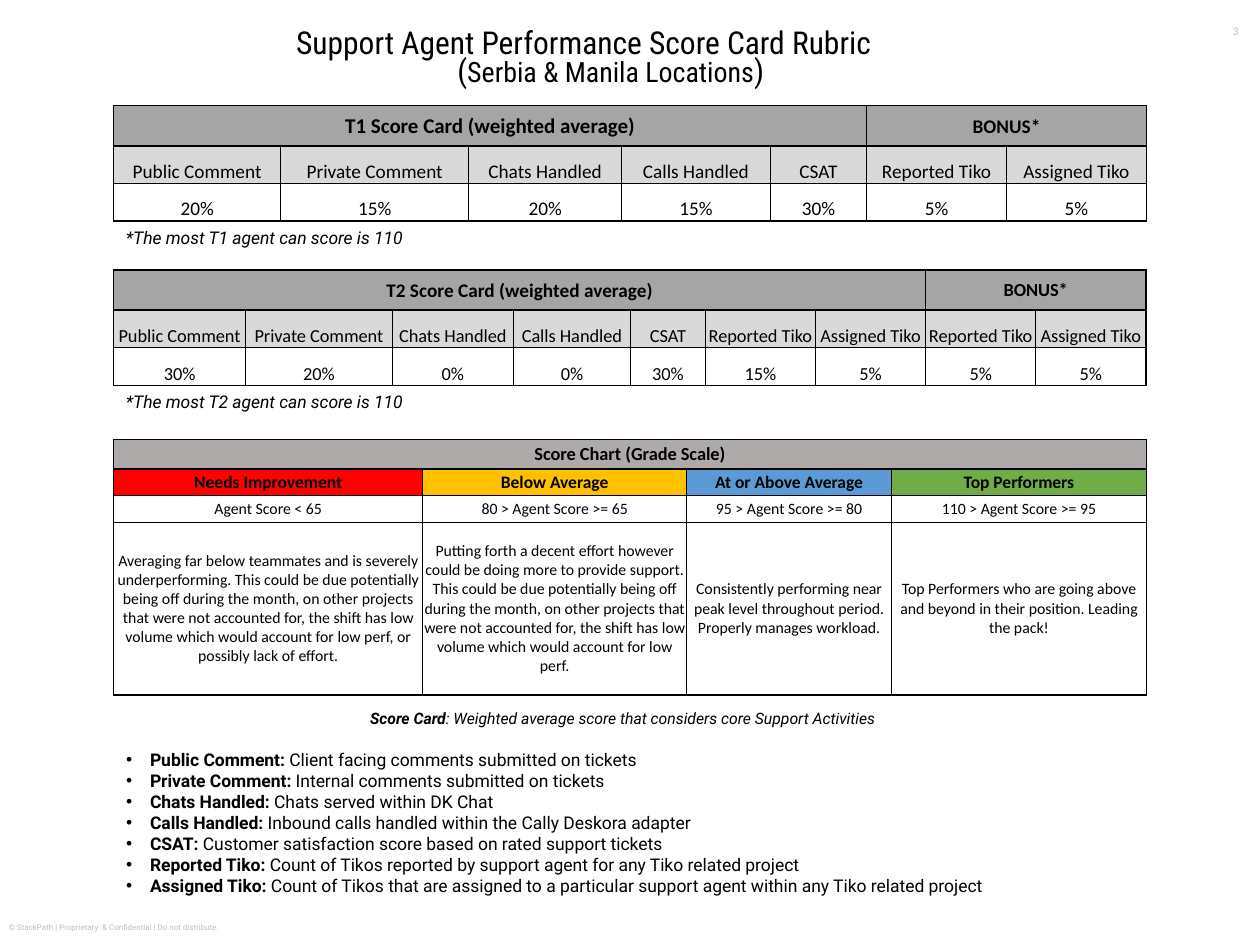
"""Build the support agent score card rubric slide."""
from dataclasses import dataclass

from lxml import etree
from pptx import Presentation
from pptx.dml.color import RGBColor
from pptx.enum.text import MSO_ANCHOR, MSO_AUTO_SIZE, PP_ALIGN
from pptx.oxml.ns import qn
from pptx.util import Cm, Pt

CENTER, LEFT = PP_ALIGN.CENTER, PP_ALIGN.LEFT
TOP, MIDDLE, BOTTOM = MSO_ANCHOR.TOP, MSO_ANCHOR.MIDDLE, MSO_ANCHOR.BOTTOM
NO_AUTOFIT = MSO_AUTO_SIZE.NONE

BLACK = RGBColor(0x00, 0x00, 0x00)
PALE_GRAY = RGBColor(0xBF, 0xBF, 0xBF)
HEADER_GRAY = RGBColor(0xA5, 0xA5, 0xA5)
LABEL_GRAY = RGBColor(0xD9, 0xD9, 0xD9)
CHART_GRAY = RGBColor(0xAE, 0xAA, 0xAA)
RED = RGBColor(0xFF, 0x00, 0x00)
AMBER = RGBColor(0xFF, 0xC0, 0x00)
BLUE = RGBColor(0x5B, 0x9B, 0xD5)
GREEN = RGBColor(0x70, 0xAD, 0x47)

THIN, HEAVY = 0.5, 1
TABLE_LEFT = 2.29

SCORE_LABELS = ["Public Comment", "Private Comment", "Chats Handled", "Calls Handled", "CSAT"]
TICKET_LABELS = ["Reported Tiko", "Assigned Tiko"]

DEFINITIONS = [
    ("Public Comment: ", "Client facing comments submitted on tickets"),
    ("Private Comment: ", "Internal comments submitted on tickets"),
    ("Chats Handled: ", "Chats served within DK Chat"),
    ("Calls Handled: ", "Inbound calls handled within the Cally Deskora adapter"),
    ("CSAT: ", "Customer satisfaction score based on rated support tickets"),
    ("Reported Tiko: ", "Count of Tikos reported by support agent for any Tiko related project"),
    ("Assigned Tiko: ", "Count of Tikos that are assigned to a particular support agent "
                        "within any Tiko related project"),
]

GRADES = [
    ("Needs Improvement", RED, "Agent Score < 65",
     "Averaging far below teammates and is severely underperforming. This could be due "
     "potentially being off during the month, on other projects that were not accounted for, "
     "the shift has low volume which would account for low perf, or possibly lack of effort."),
    ("Below Average", AMBER, "80 > Agent Score >= 65",
     "Putting forth a decent effort however could be doing more to provide support. This could "
     "be due potentially being off during the month, on other projects that were not accounted "
     "for, the shift has low volume which would account for low perf."),
    ("At or Above Average", BLUE, "95 > Agent Score >= 80",
     "Consistently performing near peak level throughout period. Properly manages workload."),
    ("Top Performers", GREEN, "110 > Agent Score >= 95",
     "Top Performers who are going above and beyond in their position. Leading the pack!"),
]


@dataclass
class Entry:
    """Text and look of one table cell."""
    text: str
    size: float
    fill: RGBColor = None
    bold: bool = False
    anchor: MSO_ANCHOR = MIDDLE
    span: int = 1


def style_font(font, name, size, color=BLACK, **flags):
    """Set a font's face, size, colour and bold or italic flags."""
    font.name, font.size = name, Pt(size)
    font.color.rgb = color
    for flag, value in flags.items():
        setattr(font, flag, value)


def set_frame(frame, inset=None, anchor=TOP, wrap=True):
    """Set a text frame's insets, anchor and wrapping."""
    frame.auto_size, frame.word_wrap, frame.vertical_anchor = NO_AUTOFIT, wrap, anchor
    if inset is not None:
        frame.margin_left = frame.margin_right = Cm(inset)
        frame.margin_top = frame.margin_bottom = Cm(inset)


def place(shape, left, top, width, height):
    """Move and size a shape, in centimetres."""
    shape.left, shape.top = Cm(left), Cm(top)
    shape.width, shape.height = Cm(width), Cm(height)


def add_note(slide, bounds, text, size, color=BLACK, align=LEFT, italic=False, **frame_options):
    """Add a one-line text box."""
    box = slide.shapes.add_textbox(*(Cm(value) for value in bounds))
    set_frame(box.text_frame, **frame_options)
    para = box.text_frame.paragraphs[0]
    para.text, para.alignment = text, align
    style_font(para.font, "Roboto", size, color, italic=italic)


def add_title(slide):
    """Fill the title with a main line and an indented second line."""
    title = slide.shapes.title
    place(title, 5.97, 0.64, 13.16, 1.17)
    frame = title.text_frame
    set_frame(frame, inset=0)
    lines = [[("Support Agent Performance Score Card Rubric", 18)],
             [("(", 18), ("Serbia & Manila Locations", 16), (")", 18)]]
    for index, spans in enumerate(lines):
        para = frame.add_paragraph() if index else frame.paragraphs[0]
        para.alignment, para.line_spacing = LEFT, 0.75
        para.space_before = Pt(0)
        if index:
            para._p.get_or_add_pPr().set("marL", str(Cm(3.25)))
        for text, size in spans:
            span = para.add_run()
            span.text = text
            style_font(span.font, "Roboto Condensed", size)


def add_definitions(slide):
    """Fill the body with the score card summary and the bulleted terms."""
    body = slide.placeholders[1]
    place(body, TABLE_LEFT, 14.17, 20.52, 4.09)
    frame = body.text_frame
    set_frame(frame)
    summary = ("Score Card", ": Weighted average score that considers core Support Activities")
    for index, parts in enumerate([summary] + DEFINITIONS):
        para = frame.add_paragraph() if index else frame.paragraphs[0]
        para.alignment = LEFT if index else CENTER
        para.space_before, para.space_after = Pt(0), Pt(0 if index else 12)
        properties = para._p.get_or_add_pPr()
        indent = Cm(0.48) if index else 0
        properties.set("marL", str(indent))
        properties.set("indent", str(-indent))
        if index:
            etree.SubElement(properties, qn("a:buFont"), typeface="Arial")
            etree.SubElement(properties, qn("a:buChar"), char="•")
        else:
            etree.SubElement(properties, qn("a:buNone"))
        style_font(para.font, "Roboto", 10 if index else 9, italic=not index)
        for text, bold in zip(parts, (True, False)):
            span = para.add_run()
            span.text, span.font.bold = text, bold


def set_borders(cell, weights):
    """Draw the left, right, top and bottom borders of a cell in points."""
    properties = cell._tc.get_or_add_tcPr()
    for position, (side, weight) in enumerate(zip("LRTB", weights)):
        line = etree.Element(qn(f"a:ln{side}"), w=str(Pt(weight)))
        fill = etree.SubElement(line, qn("a:solidFill"))
        etree.SubElement(fill, qn("a:srgbClr"), val=str(BLACK))
        properties.insert(position, line)


def fill_cell(cell, entry, inset):
    """Write an entry into a cell."""
    cell.margin_left = cell.margin_right = cell.margin_top = Cm(inset)
    cell.margin_bottom, cell.vertical_anchor = 0, entry.anchor
    para = cell.text_frame.paragraphs[0]
    para.text, para.alignment = entry.text, CENTER
    style_font(para.font, "Calibri", entry.size, bold=entry.bold)
    if entry.fill is None:
        cell.fill.background()
    else:
        cell.fill.solid()
        cell.fill.fore_color.rgb = entry.fill


def add_table(slide, top, widths, heights, rows, heavy_rows, heavy_columns, header_weight, inset):
    """Add a table whose header entries may span several columns."""
    frame = slide.shapes.add_table(len(rows), len(widths), Cm(TABLE_LEFT), Cm(top),
                                   Cm(sum(widths)), Cm(sum(heights)))
    table = frame.table
    table.first_row = table.horz_banding = False
    for column, width in zip(table.columns, widths):
        column.width = Cm(width)
    for row_index, (entries, height) in enumerate(zip(rows, heights)):
        table.rows[row_index].height = Cm(height)
        inner = THIN if row_index else header_weight
        heavy = heavy_columns if row_index else (0, len(widths))
        start = 0
        for entry in entries:
            cell, end = table.cell(row_index, start), start + entry.span
            if entry.span > 1:
                cell.merge(table.cell(row_index, end - 1))
            fill_cell(cell, entry, inset)
            sides = [HEAVY if edge in heavy else inner for edge in (start, end)]
            sides += [HEAVY if edge in heavy_rows else THIN for edge in (row_index, row_index + 1)]
            for column_index in range(start, end):
                set_borders(table.cell(row_index, column_index), sides)
            start = end


def add_score_card(slide, top, widths, headers, labels, scores, size, heavy_columns, header_weight):
    """Add a weighted score card with its bonus columns."""
    rows = [[Entry(text, points, HEADER_GRAY, True, span=span) for text, points, span in headers],
            [Entry(label, size, LABEL_GRAY, anchor=BOTTOM) for label in labels],
            [Entry(f"{score}%", size, anchor=BOTTOM) for score in scores]]
    add_table(slide, top, widths, [0.81, 0.76, 0.76], rows, range(4), heavy_columns,
              header_weight, 0.03)


def add_grade_chart(slide):
    """Add the grade scale table."""
    names, fills, ranges, details = zip(*GRADES)
    rows = [[Entry("Score Chart (Grade Scale)", 10.5, CHART_GRAY, True, span=len(GRADES))],
            [Entry(name, 10, fill, True) for name, fill in zip(names, fills)],
            [Entry(text, 9) for text in ranges],
            [Entry(text, 9) for text in details]]
    add_table(slide, 8.86, [6.23, 5.32, 4.13, 5.14], [0.59, 0.54, 0.54, 3.48], rows,
              (0, 1, 4), (0, 4), HEAVY, 0)


def main():
    """Build and save the deck."""
    deck = Presentation()
    deck.slide_width, deck.slide_height = Cm(25.4), Cm(19.05)
    slide = deck.slides.add_slide(deck.slide_layouts[1])
    add_title(slide)
    add_note(slide, (0.18, 18.59, 8.59, 0.2),
             "© StackPath | Proprietary  & Confidential | Do not distribute.", 4.5, PALE_GRAY,
             inset=0, anchor=MIDDLE)
    add_note(slide, (24.43, 0, 0.97, 1.27), "3", 6, PALE_GRAY, CENTER, inset=0, anchor=MIDDLE)
    add_definitions(slide)
    add_score_card(slide, 2.13, [3.37, 3.79, 3.08, 3, 1.94, 2.82, 2.82],
                   [("T1 Score Card (weighted average)", 12, 5), ("BONUS*", 11, 2)],
                   SCORE_LABELS + TICKET_LABELS, [20, 15, 20, 15, 30, 5, 5], 11, (0, 5, 7), THIN)
    add_score_card(slide, 5.44, [2.66, 2.96, 2.44, 2.36, 1.51] + [2.22] * 4,
                   [("T2 Score Card (weighted average)", 11, 7), ("BONUS*", 10.5, 2)],
                   SCORE_LABELS + TICKET_LABELS * 2, [30, 20, 0, 0, 30, 15, 5, 5, 5], 10.5,
                   (0, 9), HEAVY)
    for tier, top in (("T1", 4.45), ("T2", 7.75)):
        add_note(slide, (TABLE_LEFT, top, 6.2, 0.69),
                 f"*The most {tier} agent can score is 110", 10, italic=True, wrap=False)
    add_grade_chart(slide)
    deck.save("out.pptx")


if __name__ == "__main__":
    main()
